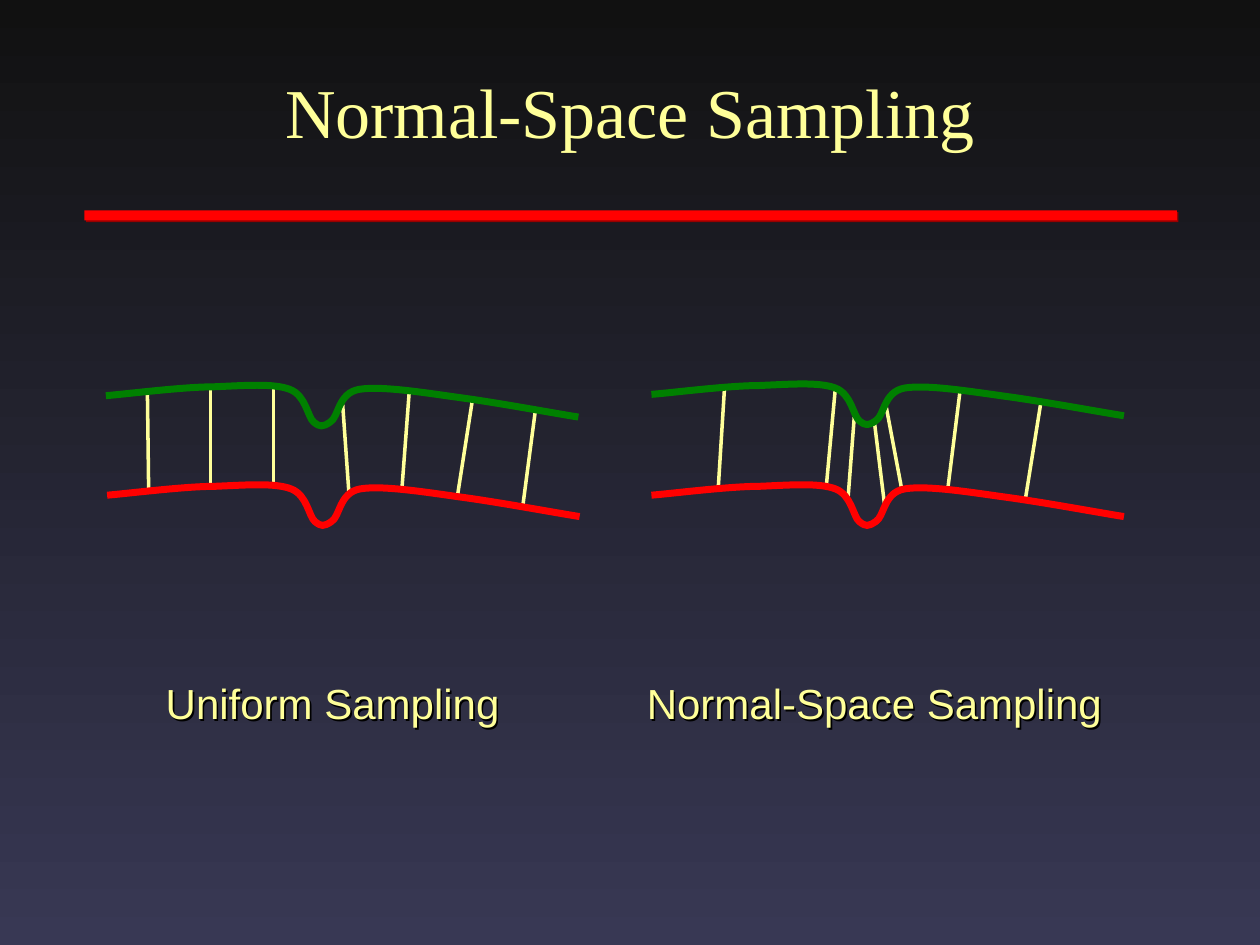
"""Build a slide that compares uniform sampling with normal-space sampling."""
import pptx
import pptx.dml.color
import pptx.enum.shapes
import pptx.enum.text
import pptx.oxml
import pptx.oxml.ns
import pptx.util

THEME = {
    "sky": "111111", "ground": "383854", "text": "FFFF99", "rule": "FF0000",
    "rule_shadow": "980000", "text_shadow": "000000", "source": "008000", "target": "FF0000",
    "title_font": "Times New Roman", "caption_font": "Arial",
    "title_size": 40, "caption_size": 24, "match_width": 2, "curve_width": 4,
    "shadow_distance": 1.4,
}
WIDTH, HEIGHT = 10, 7.5
TITLE = "Normal-Space Sampling"
TITLE_BOX = (0.75, 0.25, 8.5, 1.25)
RULE_BOX = (0.67, 1.67, 8.67, 0.08)
CURVE_START = (0, 0.10)
CURVE_BENDS = [
    ((0.14, 0.09), (0.61, 0.03), (0.85, 0.03)),
    ((1.10, 0.02), (1.33, 0.00), (1.46, 0.05)),
    ((1.59, 0.10), (1.60, 0.27), (1.65, 0.31)),
    ((1.70, 0.35), (1.72, 0.35), (1.78, 0.31)),
    ((1.85, 0.27), (1.84, 0.08), (2.01, 0.05)),
    ((2.19, 0.02), (2.55, 0.08), (2.84, 0.12)),
    ((3.13, 0.16), (3.56, 0.24), (3.75, 0.27)),
]
PANELS = [
    {
        "caption": "Uniform Sampling", "caption_box": (1.11, 5.33, 3.06, 0.5),
        "curves": [("source", 0.84, 3.04), ("target", 0.85, 3.83)],
        "matches": [
            (1.17, 3.10, 1.18, 3.90), (1.67, 3.08, 1.67, 3.84), (2.17, 3.08, 2.17, 3.85),
            (2.72, 3.21, 2.77, 3.92), (3.75, 3.17, 3.63, 3.94), (3.25, 3.08, 3.19, 3.88),
            (4.25, 3.25, 4.15, 4.01),
        ],
    },
    {
        "caption": "Normal-Space Sampling", "caption_box": (4.96, 5.33, 3.96, 0.5),
        "curves": [("source", 5.17, 3.03), ("target", 5.17, 3.83)],
        "matches": [
            (5.75, 3.08, 5.70, 3.88), (6.63, 3.08, 6.56, 3.84), (6.78, 3.31, 6.73, 3.96),
            (6.94, 3.35, 7.02, 4.00), (7.62, 3.10, 7.52, 3.90), (7.03, 3.21, 7.16, 3.90),
            (8.26, 3.20, 8.14, 3.95),
        ],
    },
]


def color(name):
    return pptx.dml.color.RGBColor.from_string(THEME[name])


def inches(values):
    return [pptx.util.Inches(value) for value in values]


def set_all(target, values):
    for name, value in values.items():
        setattr(target, name, value)


def element(name, content=""):
    namespace = pptx.oxml.ns.nsdecls("a")
    return pptx.oxml.parse_xml(f"<a:{name} {namespace}>{content}</a:{name}>")


def add_shadow(shape, name):
    distance = pptx.util.Pt(THEME["shadow_distance"])
    shape._element.spPr.append(element("effectLst", (
        f'<a:outerShdw dist="{distance}" dir="2700000" algn="ctr" rotWithShape="0">'
        f'<a:srgbClr val="{THEME[name]}"/></a:outerShdw>')))


def style_line(line, name, width):
    line.color.rgb = color(name)
    line.width = pptx.util.Pt(THEME[width])


def add_text(slide, text, box, role, wrap):
    shape = slide.shapes.add_textbox(*inches(box))
    frame = shape.text_frame
    set_all(frame, {"word_wrap": wrap, "vertical_anchor": pptx.enum.text.MSO_ANCHOR.MIDDLE})
    paragraph = frame.paragraphs[0]
    paragraph.alignment = pptx.enum.text.PP_ALIGN.CENTER
    run = paragraph.add_run()
    run.text = text
    run.font.color.rgb = color("text")
    set_all(run.font, {"name": THEME[f"{role}_font"],
                       "size": pptx.util.Pt(THEME[f"{role}_size"])})
    return shape


def add_match(slide, ends):
    connector = slide.shapes.add_connector(
        pptx.enum.shapes.MSO_CONNECTOR.STRAIGHT, *inches(ends))
    style_line(connector.line, "text", "match_width")
    connector._element.spPr.append(element("effectLst"))


def bend_segments(shape):
    segments = list(shape._element.iter(pptx.oxml.ns.qn("a:lnTo")))
    for first in range(0, len(segments), 3):
        bend = element("cubicBezTo")
        segments[first].addprevious(bend)
        for segment in segments[first:first + 3]:
            bend.append(segment[0])
            segment.getparent().remove(segment)


def add_curve(slide, name, left, top):
    offsets = [CURVE_START] + [point for bend in CURVE_BENDS for point in bend]
    points = [inches((left + x, top + y)) for x, y in offsets]
    builder = slide.shapes.build_freeform(*points[0])
    builder.add_line_segments(points[1:], close=False)
    shape = builder.convert_to_shape()
    bend_segments(shape)
    shape.fill.background()
    style_line(shape.line, name, "curve_width")
    shape.shadow.inherit = False


def add_rule(slide):
    shape = slide.shapes.add_shape(
        pptx.enum.shapes.MSO_SHAPE.RECTANGLE, *inches(RULE_BOX))
    shape.fill.solid()
    shape.fill.fore_color.rgb = color("rule")
    shape.line.fill.background()
    add_shadow(shape, "rule_shadow")


def paint_background(slide):
    fill = slide.background.fill
    fill.gradient()
    fill.gradient_angle = 270
    for stop, name, position in zip(fill.gradient_stops, ("sky", "ground"), (0, 1)):
        stop.color.rgb = color(name)
        stop.position = position


def main():
    presentation = pptx.Presentation()
    set_all(presentation, {"slide_width": pptx.util.Inches(WIDTH),
                           "slide_height": pptx.util.Inches(HEIGHT)})
    slide = presentation.slides.add_slide(presentation.slide_layouts[6])
    paint_background(slide)
    add_rule(slide)
    add_text(slide, TITLE, TITLE_BOX, "title", True)
    for panel in PANELS:
        for ends in panel["matches"]:
            add_match(slide, ends)
        for curve in panel["curves"]:
            add_curve(slide, *curve)
        caption = add_text(slide, panel["caption"], panel["caption_box"], "caption", False)
        add_shadow(caption, "text_shadow")
    presentation.save("out.pptx")


if __name__ == "__main__":
    main()
